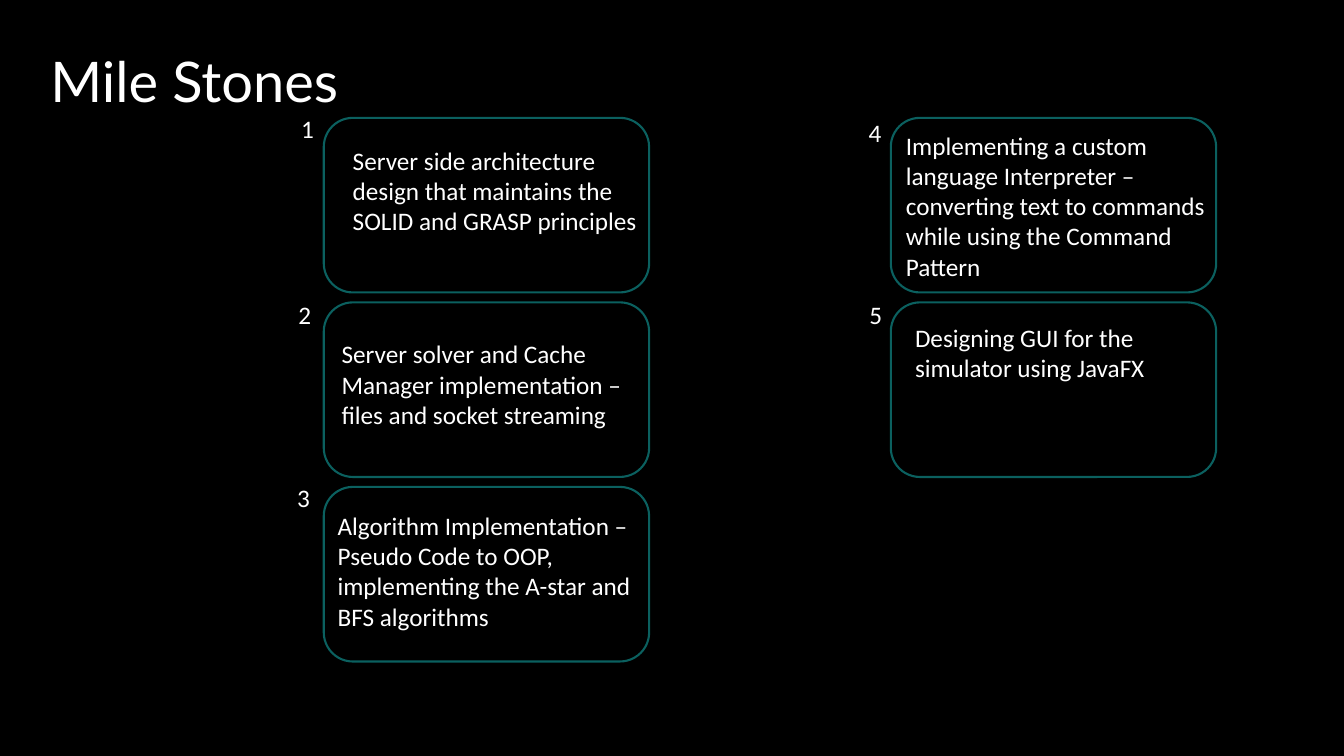
from dataclasses import dataclass
from lxml.etree import SubElement
from pptx import Presentation
from pptx.dml.color import RGBColor
from pptx.enum.shapes import MSO_SHAPE
from pptx.enum.text import MSO_ANCHOR, MSO_AUTO_SIZE
from pptx.oxml.ns import qn
from pptx.util import Cm, Pt


@dataclass(frozen=True)
class Theme:
    back: RGBColor = RGBColor(0x00, 0x00, 0x00)
    ink: RGBColor = RGBColor(0xFF, 0xFF, 0xFF)
    edge: RGBColor = RGBColor(0x1C, 0xF0, 0xEE)
    alpha: int = 40000
    stroke: float = 1.5
    head: int = 40
    body: int = 18
    title: str = "Lato"
    font: str = "Calibri"


THEME = Theme()

# Card size, column lefts and row rule, in centimetres
WIDE, HIGH = 8.2, 4.4
COLS = (8.16, 22.45)
TOP, STEP = 2.97, 4.65

# Column, row, number offset and width, text offset and width, lines, text
CARDS = [
    (0, 0, (-0.82, -0.23), 1.22, (0.48, 0.56), 8.23, 3,
     "Server side architecture design that maintains the SOLID and GRASP principles"),
    (0, 1, (-0.89, -0.2), 1.52, (0.2, 0.79), 8.18, 3,
     "Server solver and Cache Manager implementation – files and socket streaming"),
    (0, 2, (-0.92, -0.25), 1.75, (0.1, 0.46), 8.28, 4,
     "Algorithm Implementation – Pseudo Code to OOP, implementing the A-star and BFS algorithms"),
    (1, 0, (-0.81, -0.15), 0.94, (0.13, 0.18), 8.33, 5,
     "Implementing a custom language Interpreter – converting text to commands "
     "while using the Command Pattern"),
    (1, 1, (-0.79, -0.2), 0.91, (0.36, 0.38), 8.05, 2,
     "Designing GUI for the simulator using JavaFX"),
]


def apply(item, form):
    for key, value in form.items():
        setattr(item, key, value)


def write(slide, box, text, face, size, frame):
    label = slide.shapes.add_textbox(*map(Cm, box))
    apply(label.text_frame, {"word_wrap": True, **frame})
    run = label.text_frame.paragraphs[0].add_run()
    run.text = text
    apply(run.font, {"name": face, "size": Pt(size)})
    run.font.color.rgb = THEME.ink


def note(slide, box, text):
    write(slide, box, text, THEME.font, THEME.body,
          {"auto_size": MSO_AUTO_SIZE.SHAPE_TO_FIT_TEXT})


def frame(slide, box):
    shape = slide.shapes.add_shape(MSO_SHAPE.ROUNDED_RECTANGLE, *map(Cm, box))
    shape.shadow.inherit = False
    shape.fill.background()
    shape.line.width = Pt(THEME.stroke)
    shape.line.color.rgb = THEME.edge
    # Translucent outline
    tint = shape.line.fill._xPr.find(".//" + qn("a:srgbClr"))
    SubElement(tint, qn("a:alpha"), val=str(THEME.alpha))


def card(slide, box, num, shift, span, inset, width, lines, text):
    left, top = box[:2]
    frame(slide, box)
    note(slide, (left + shift[0], top + shift[1], span, 1.02), str(num))
    note(slide, (left + inset[0], top + inset[1], width, 0.77 * lines + 0.25), text)


def header(slide, box):
    write(slide, box, "Mile Stones", THEME.title, THEME.head,
          {"vertical_anchor": MSO_ANCHOR.MIDDLE})


def main():
    deck = Presentation()
    apply(deck, {"slide_width": Cm(33.87), "slide_height": Cm(19.05)})
    slide = deck.slides.add_slide(deck.slide_layouts[6])
    slide.background.fill.solid()
    slide.background.fill.fore_color.rgb = THEME.back

    # Title, then the numbered cards
    header(slide, (1.02, 0.3, 24.71, 3.43))
    for num, (col, row, *rest) in enumerate(CARDS, 1):
        card(slide, (COLS[col], TOP + row * STEP, WIDE, HIGH), num, *rest)
    deck.save("out.pptx")


if __name__ == "__main__":
    main()
